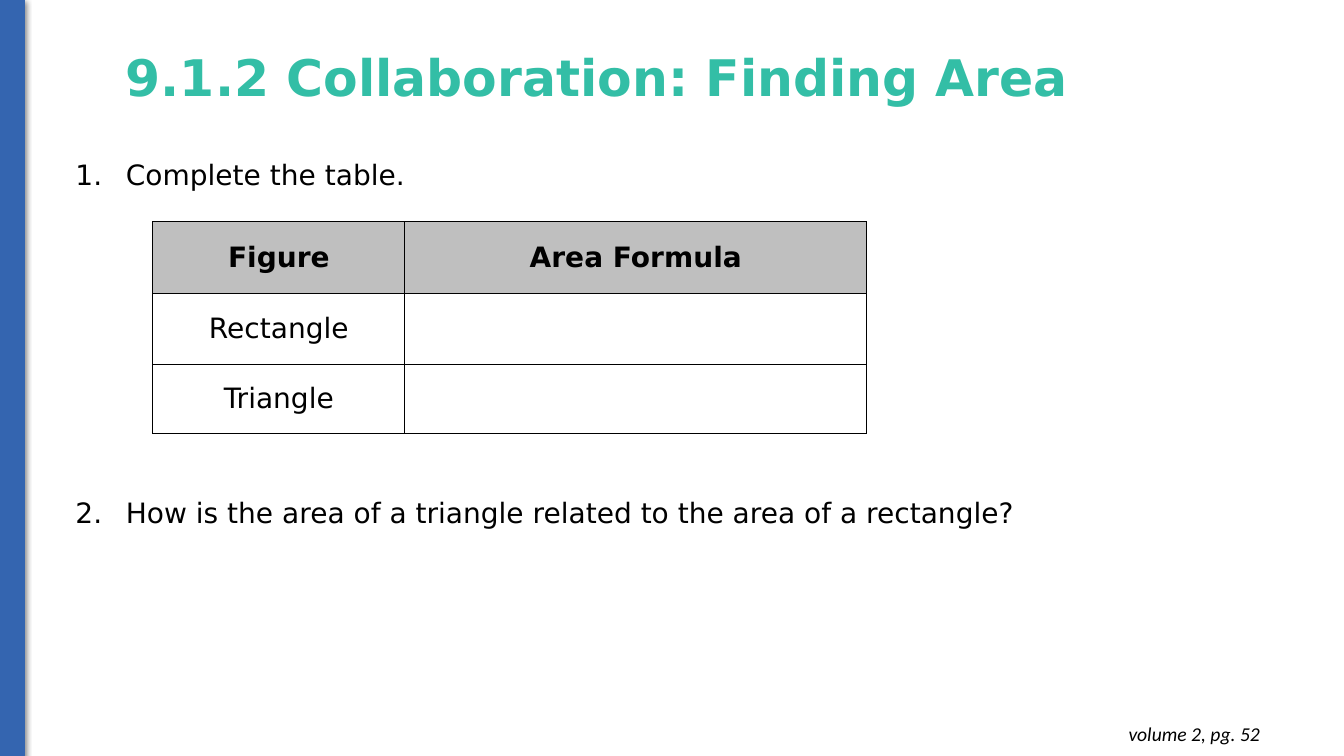
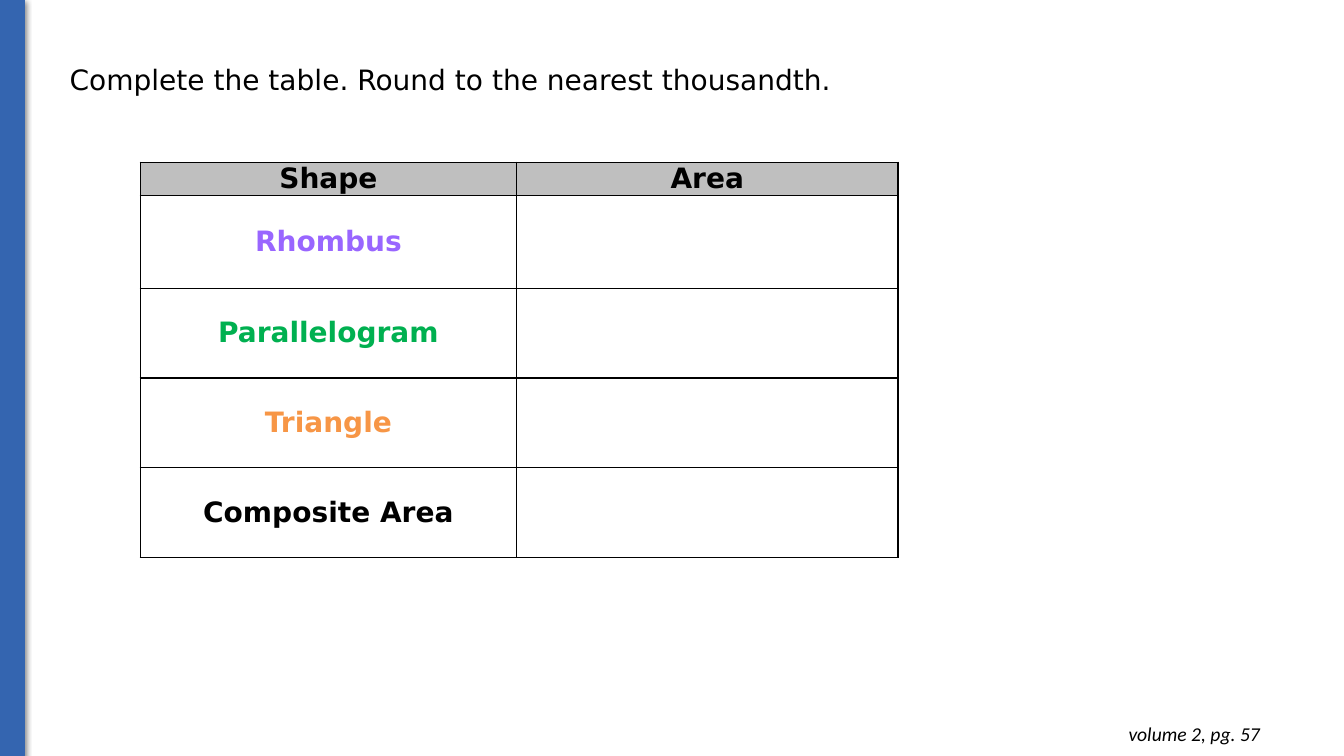
from dataclasses import dataclass

from lxml import etree
from pptx import Presentation
from pptx.dml.color import RGBColor
from pptx.enum.shapes import MSO_SHAPE
from pptx.enum.text import MSO_ANCHOR, PP_ALIGN
from pptx.oxml import parse_xml
from pptx.oxml.ns import nsdecls, qn
from pptx.slide import Slide
from pptx.table import _Cell
from pptx.text.text import _Paragraph
from pptx.util import Emu, Inches, Pt

RECT = MSO_SHAPE.RECTANGLE
TOP, MIDDLE = MSO_ANCHOR.TOP, MSO_ANCHOR.MIDDLE
LEFT, CENTER, RIGHT = PP_ALIGN.LEFT, PP_ALIGN.CENTER, PP_ALIGN.RIGHT

COLORS = {
    "band": "3465B0",
    "title": "33BEA6",
    "text": "000000",
    "header": "BFBFBF",
    "rhombus": "9966FF",
    "parallelogram": "00B050",
    "triangle": "F79646",
}
WIDTH, HEIGHT = Inches(13.33), Inches(7.5)
COLS, ROWS = 160, 90


@dataclass(frozen=True)
class Area:
    col: float
    row: float
    cols: float
    rows: float

    def emu(self) -> tuple[Emu, Emu, Emu, Emu]:
        return across(self.col), down(self.row), across(self.cols), down(self.rows)


@dataclass(frozen=True)
class TextStyle:
    size: float = 20
    color: str = "text"
    font: str = "DejaVu Sans"
    bold: bool = False
    italic: bool = False


@dataclass(frozen=True)
class Label:
    text: str
    style: TextStyle


@dataclass(frozen=True)
class TableSpec:
    col: float
    row: float
    widths: tuple[float, ...]
    heights: tuple[float, ...]
    headers: tuple[str, ...]
    labels: tuple[Label, ...]


BODY = TextStyle()
BOLD = TextStyle(bold=True)
TITLE = TextStyle(36, "title", bold=True)
FOOTER = TextStyle(14, font="Calibri", italic=True)

BAND_AREA = Area(0, 0, 2.9, ROWS)
TITLE_AREA = Area(13.8, 0.84, 121.7, 17.4)
FOOTER_AREA = Area(116.6, 84.7, 34.6, 5.3)
QUESTION_AREA = Area(7.8, 18.2, 121.7, 45.6)
PROMPT_AREA = Area(7.1, 6.8, 109.3, 5.3)

FORMULAS = TableSpec(
    18.2, 26.4, (30, 55), (8.5, 8.5, 8.2),
    ("Figure", "Area Formula"),
    (Label("Rectangle", BODY), Label("Triangle", BODY)),
)
SHAPES = TableSpec(
    16.7, 19.3, (44.8, 45.4), (4, 11, 10.7, 10.7, 10.7),
    ("Shape", "Area"),
    (
        Label("Rhombus", TextStyle(color="rhombus", bold=True)),
        Label("Parallelogram", TextStyle(color="parallelogram", bold=True)),
        Label("Triangle", TextStyle(color="triangle", bold=True)),
        Label("Composite Area", BOLD),
    ),
)


def across(cols: float) -> Emu:
    return Emu(round(WIDTH * cols / COLS))


def down(rows: float) -> Emu:
    return Emu(round(HEIGHT * rows / ROWS))


def rgb(name: str) -> RGBColor:
    return RGBColor.from_string(COLORS[name])


def write(p: _Paragraph, text: str, style: TextStyle, align: PP_ALIGN) -> None:
    p.text = text
    p.alignment = align
    for r in p.runs:
        r.font.size = Pt(style.size)
        r.font.name = style.font
        r.font.bold = style.bold
        r.font.italic = style.italic
        r.font.color.rgb = rgb(style.color)


def add_text(s: Slide, area: Area, text: str, style: TextStyle = BODY,
             align: PP_ALIGN = LEFT, anchor: MSO_ANCHOR = TOP,
             inset: float = 0.05, spacing: float = 1.0) -> None:
    tf = s.shapes.add_textbox(*area.emu()).text_frame
    tf.word_wrap = True
    tf.vertical_anchor = anchor
    tf.margin_top = tf.margin_bottom = Inches(inset)
    p = tf.paragraphs[0]
    write(p, text, style, align)
    p.line_spacing = spacing


def add_questions(s: Slide, area: Area, questions: tuple[str, ...], gap: float) -> None:
    tf = s.shapes.add_textbox(*area.emu()).text_frame
    tf.word_wrap = True
    for i, question in enumerate(questions):
        p = tf.add_paragraph() if i else tf.paragraphs[0]
        pPr = p._p.get_or_add_pPr()
        pPr.set("marL", str(Inches(0.5)))
        pPr.set("indent", str(-Inches(0.5)))
        etree.SubElement(pPr, qn("a:buFont"), typeface=BODY.font)
        etree.SubElement(pPr, qn("a:buAutoNum"), type="arabicPeriod")
        write(p, question, BODY, LEFT)
        if i:
            p.space_before = Pt(gap)


def add_band(s: Slide) -> None:
    sp = s.shapes.add_shape(RECT, *BAND_AREA.emu())
    sp.fill.solid()
    sp.fill.fore_color.rgb = rgb("band")
    sp.line.color.rgb = rgb("band")
    sp.line.width = Pt(0.75)
    sp._element.spPr.append(parse_xml(
        f'<a:effectLst {nsdecls("a")}>'
        f'<a:outerShdw blurRad="{Pt(4.5)}" dist="{Pt(1.5)}" dir="5400000" rotWithShape="0">'
        f'<a:srgbClr val="{COLORS["text"]}"><a:alpha val="50000"/></a:srgbClr>'
        '</a:outerShdw></a:effectLst>'
    ))


def style_cell(cell: _Cell, header: bool) -> None:
    cell.vertical_anchor = MIDDLE
    cell.margin_left = cell.margin_right = Inches(0.07)
    cell.margin_top = cell.margin_bottom = 0
    if header:
        cell.fill.solid()
        cell.fill.fore_color.rgb = rgb("header")
    else:
        cell.fill.background()
    tcPr = cell._tc.get_or_add_tcPr()
    for i, side in enumerate(("lnL", "lnR", "lnT", "lnB")):
        tcPr.insert(i, parse_xml(
            f'<a:{side} {nsdecls("a")} w="{Pt(1)}"><a:solidFill>'
            f'<a:srgbClr val="{COLORS["text"]}"/></a:solidFill></a:{side}>'
        ))


def add_table(s: Slide, spec: TableSpec) -> None:
    area = Area(spec.col, spec.row, sum(spec.widths), sum(spec.heights))
    table = s.shapes.add_table(len(spec.heights), len(spec.widths), *area.emu()).table
    table.first_row = table.horz_banding = False
    for column, width in zip(table.columns, spec.widths):
        column.width = across(width)
    for i, (row, height) in enumerate(zip(table.rows, spec.heights)):
        row.height = down(height)
        for cell in row.cells:
            style_cell(cell, header=i == 0)
    for cell, header in zip(table.rows[0].cells, spec.headers):
        write(cell.text_frame.paragraphs[0], header, BOLD, CENTER)
    for i, label in enumerate(spec.labels, start=1):
        p = table.cell(i, 0).text_frame.paragraphs[0]
        write(p, label.text, label.style, CENTER)


def add_page(prs: Presentation, page: int) -> Slide:
    s = prs.slides.add_slide(prs.slide_layouts[6])
    add_band(s)
    add_text(s, FOOTER_AREA, f"volume 2, pg. {page}", FOOTER, RIGHT, inset=0.1)
    return s


def main() -> None:
    prs = Presentation()
    prs.slide_width, prs.slide_height = WIDTH, HEIGHT

    s = add_page(prs, 52)
    add_text(s, TITLE_AREA, "9.1.2 Collaboration: Finding Area", TITLE,
             anchor=MIDDLE, spacing=0.9)
    add_questions(s, QUESTION_AREA, (
        "Complete the table.",
        "How is the area of a triangle related to the area of a rectangle?",
    ), gap=217)
    add_table(s, FORMULAS)

    s = add_page(prs, 57)
    add_text(s, PROMPT_AREA, "Complete the table. Round to the nearest thousandth.")
    add_table(s, SHAPES)

    prs.save("out.pptx")


if __name__ == "__main__":
    main()
